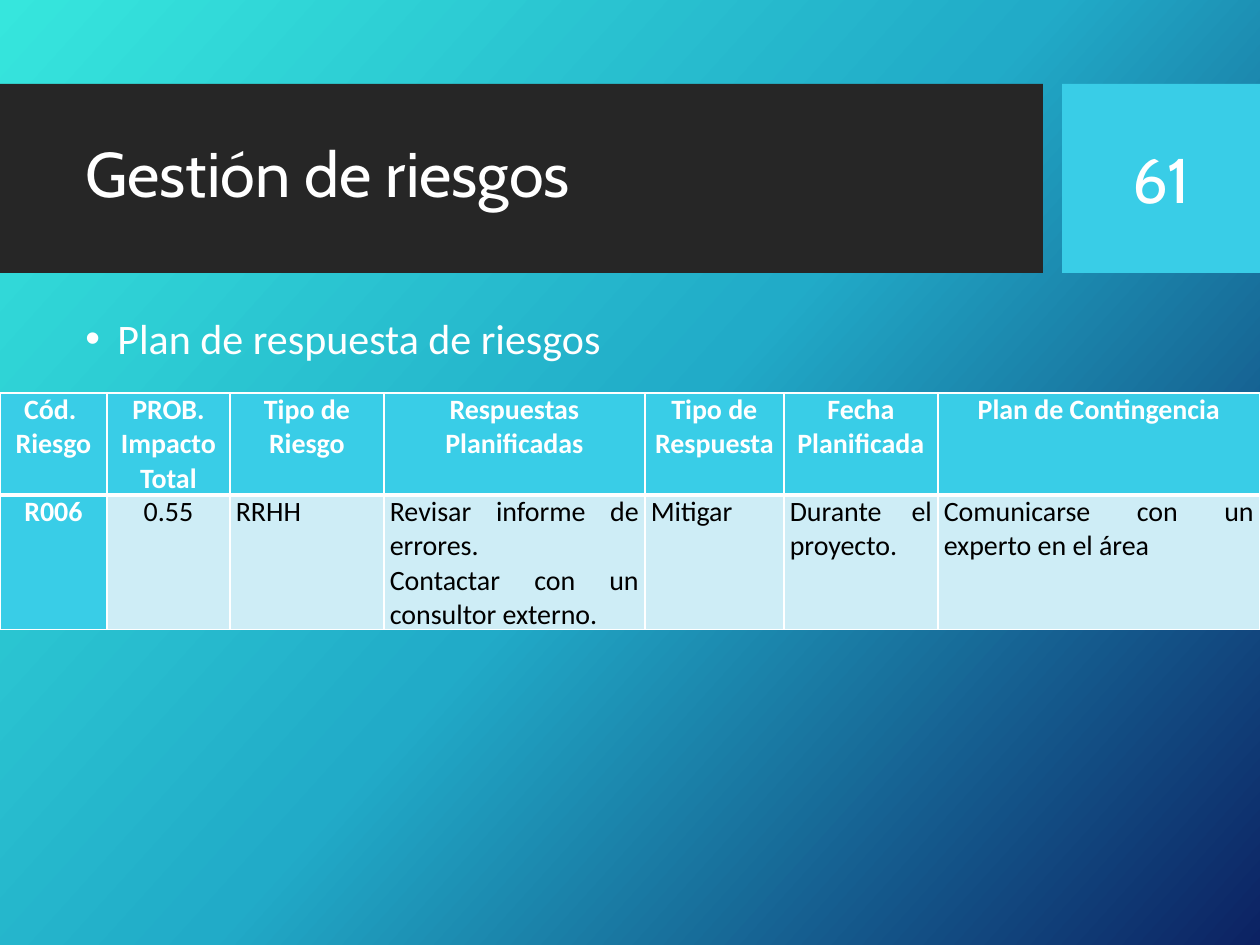
from copy import deepcopy
from typing import NamedTuple

from lxml.etree import SubElement
from pptx import Presentation
from pptx.dml.color import RGBColor
from pptx.enum.shapes import MSO_SHAPE
from pptx.enum.text import MSO_ANCHOR, PP_ALIGN
from pptx.oxml.ns import qn
from pptx.util import Emu, Pt

WHITE, BLACK, CHARCOAL = "FFFFFF", "000000", "262626"
CYAN, PALE_CYAN = "39CDE7", "CEEDF6"
GRADIENT = [(0, "36E6DD"), (0.5, "21ABC8"), (1, "0C2263")]
LEFT, CENTER, JUSTIFY = PP_ALIGN.LEFT, PP_ALIGN.CENTER, PP_ALIGN.JUSTIFY


class Box(NamedTuple):
    left: int
    top: int
    width: int
    height: int


class Text(NamedTuple):
    text: str
    size: int
    font: str
    color: str = WHITE
    bold: bool = False
    align: PP_ALIGN = LEFT


class Column(NamedTuple):
    width: int
    heading: str
    value: str
    align: PP_ALIGN = JUSTIFY


TABLE_BOX = Box(0, 393, 1260, 236)
ROW_HEIGHTS = [102, 134]
COLUMNS = [
    Column(107, "Cód. \nRiesgo", "R006", CENTER),
    Column(123, "PROB. Impacto Total", "0.55", CENTER),
    Column(154, "Tipo de Riesgo", "RRHH"),
    Column(261, "Respuestas Planificadas",
           "Revisar informe de errores.\nContactar con un consultor externo."),
    Column(139, "Tipo de Respuesta", "Mitigar"),
    Column(154, "Fecha Planificada", "Durante el proyecto."),
    Column(322, "Plan de Contingencia", "Comunicarse con un experto en el área"),
]


def px(length: int) -> Emu:
    return Emu(round(length * 914400 / 126))


def rgb(color: str) -> RGBColor:
    return RGBColor.from_string(color)


def paint_background(slide) -> None:
    fill = slide.background.fill
    fill.gradient()
    fill.gradient_angle = 360 - 42
    stop_list = next(slide.element.iter(qn("a:gsLst")))
    stop_list.append(deepcopy(stop_list[-1]))
    for stop, (position, color) in zip(fill.gradient_stops, GRADIENT):
        stop.position = position
        stop.color.rgb = rgb(color)


def add_band(slide, box: Box, color: str) -> None:
    shape = slide.shapes.add_shape(MSO_SHAPE.RECTANGLE, *map(px, box))
    shape.shadow.inherit = False
    shape.fill.solid()
    shape.fill.fore_color.rgb = rgb(color)
    shape.line.fill.background()


def write(frame, text: Text) -> None:
    """Fill a text frame, one paragraph for each line of the text."""
    frame.word_wrap = True
    frame.text = text.text
    for paragraph in frame.paragraphs:
        paragraph.alignment = text.align
        paragraph.font.size = Pt(text.size)
        paragraph.font.name = text.font
        paragraph.font.bold = text.bold
        paragraph.font.color.rgb = rgb(text.color)


def add_text(slide, box: Box, text: Text, anchor: MSO_ANCHOR = MSO_ANCHOR.MIDDLE):
    """Add a text box and return its first paragraph."""
    frame = slide.shapes.add_textbox(*map(px, box)).text_frame
    write(frame, text)
    frame.vertical_anchor = anchor
    return frame.paragraphs[0]


def add_bullet(paragraph, indent: int) -> None:
    properties = paragraph._p.get_or_add_pPr()
    properties.set("marL", str(px(indent)))
    properties.set("indent", str(-px(indent)))
    SubElement(properties, qn("a:buFont"), typeface="Arial")
    SubElement(properties, qn("a:buChar"), char="•")


def set_borders(cell, top: int, bottom: int) -> None:
    """Draw white borders, with widths in points; the sides are 1 point."""
    properties = cell._tc.get_or_add_tcPr()
    for side, width in {"L": 1, "R": 1, "T": top, "B": bottom}.items():
        line = SubElement(properties, qn(f"a:ln{side}"), w=str(Pt(width)))
        SubElement(SubElement(line, qn("a:solidFill")), qn("a:srgbClr"), val=WHITE)


def fill_cell(cell, text: Text, color: str, top: int, bottom: int) -> None:
    write(cell.text_frame, text)
    cell.margin_left = cell.margin_right = px(6)
    cell.margin_top = cell.margin_bottom = 0
    set_borders(cell, top, bottom)
    cell.fill.solid()
    cell.fill.fore_color.rgb = rgb(color)


def add_risk_table(slide) -> None:
    table = slide.shapes.add_table(2, len(COLUMNS), *map(px, TABLE_BOX)).table
    table.horz_banding = False
    table.first_col = True
    for row, height in zip(table.rows, ROW_HEIGHTS):
        row.height = px(height)
    for index, column in enumerate(COLUMNS):
        table.columns[index].width = px(column.width)
        heading = Text(column.heading, 16, "Calibri", WHITE, True, CENTER)
        fill_cell(table.cell(0, index), heading, CYAN, top=1, bottom=3)
        is_code = index == 0
        value = Text(column.value, 16, "Calibri", WHITE if is_code else BLACK,
                     is_code, column.align)
        fill_cell(table.cell(1, index), value, CYAN if is_code else PALE_CYAN,
                  top=3, bottom=1)


def main() -> None:
    presentation = Presentation()
    presentation.slide_width, presentation.slide_height = px(1260), px(945)
    slide = presentation.slides.add_slide(presentation.slide_layouts[6])

    paint_background(slide)
    add_band(slide, Box(0, 84, 1043, 189), CHARCOAL)
    add_band(slide, Box(1062, 84, 198, 189), CYAN)

    title = add_text(slide, Box(73, 103, 950, 149),
                     Text("Gestión de riesgos", 36, "Cabin"))
    title.line_spacing = 0.9
    add_text(slide, Box(1081, 103, 160, 150), Text("61", 36, "Cabin", align=CENTER))

    subtitle = add_text(slide, Box(73, 312, 949, 496),
                        Text("Plan de respuesta de riesgos", 24, "Calibri"),
                        MSO_ANCHOR.TOP)
    subtitle.line_spacing = 0.9
    subtitle.space_before = Pt(10)
    add_bullet(subtitle, 32)

    add_risk_table(slide)
    presentation.save("out.pptx")


if __name__ == "__main__":
    main()
